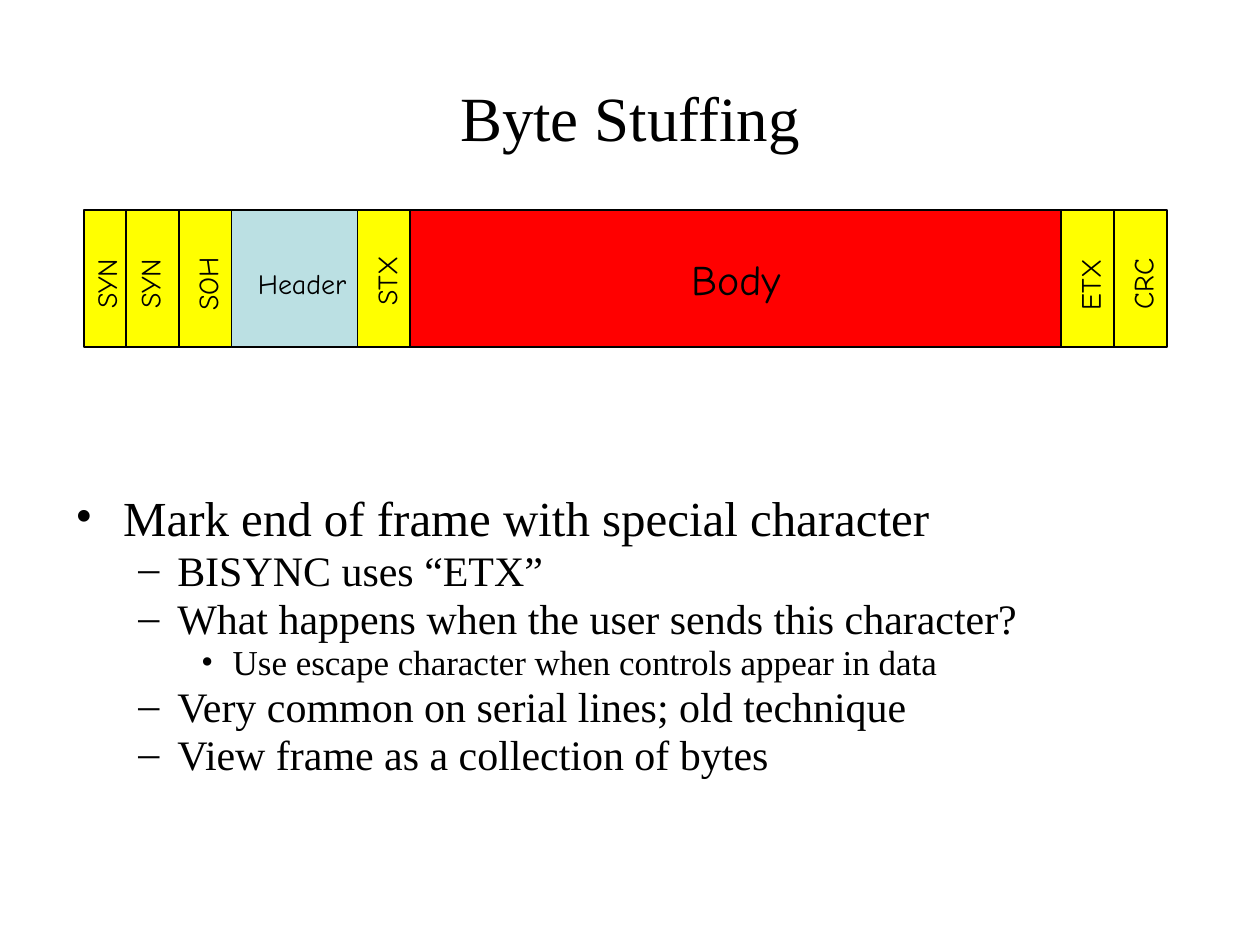
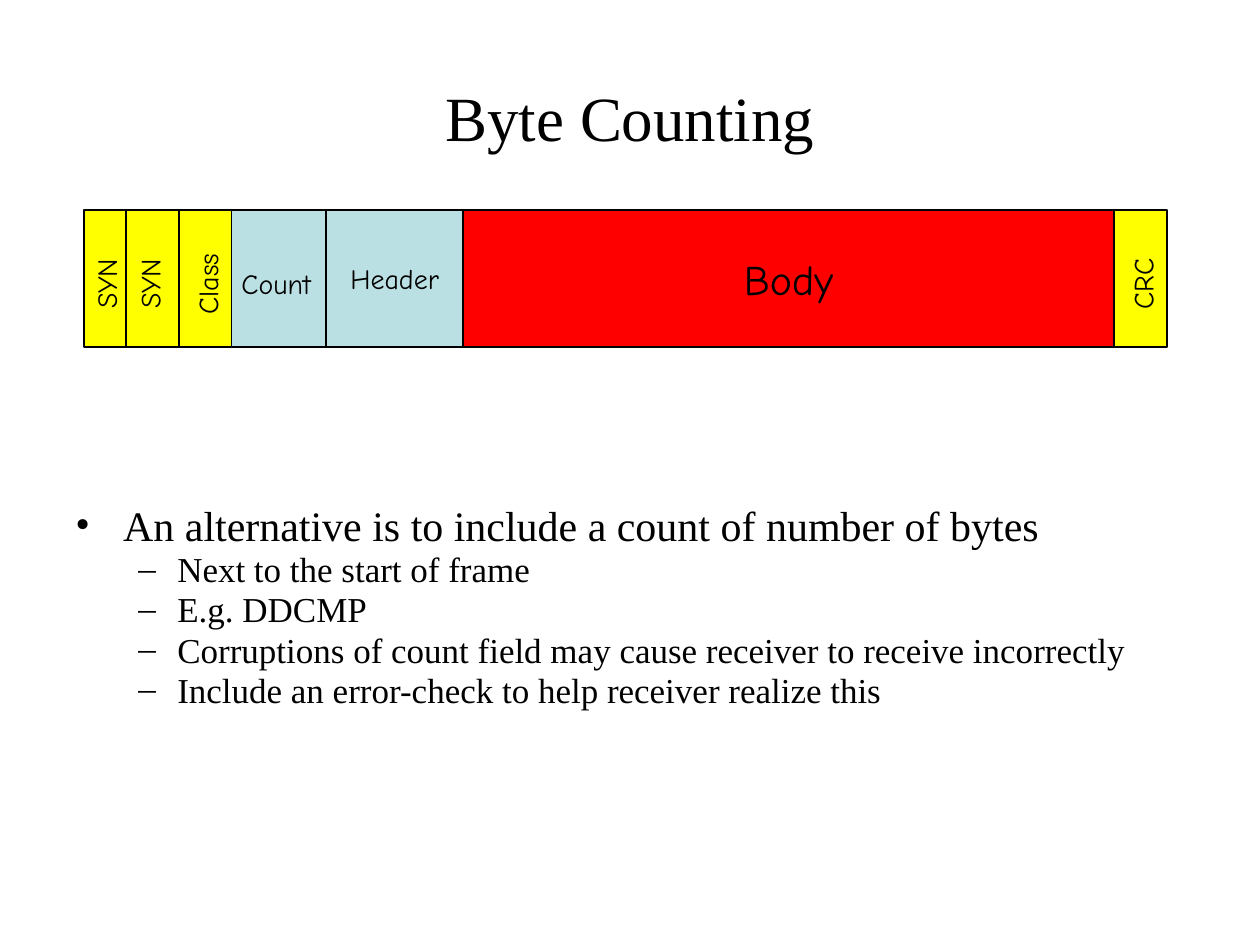
from typing import NamedTuple

from lxml import etree
from pptx import Presentation
from pptx.dml.color import RGBColor
from pptx.enum import shapes, text
from pptx.oxml import ns
from pptx.util import Inches, Pt

COLOURS = {"ink": "000000", "control": "FFFF00", "header": "BBE0E3", "body": "FF0000"}
SERIF = "Times New Roman"
COMIC = "Comic Neue"
FRAME_LEFT, FRAME_TOP, FRAME_HEIGHT = 0.67, 1.67, 1.09
LABEL_WIDTH, LABEL_HEIGHT = 1.1, 0.36
# Bullet, text indent and hanging indent (inches) of each outline level
LEVELS = [("•", 0.38, -0.38), ("–", 0.81, -0.31), ("•", 1.25, -0.25)]


class Field(NamedTuple):
    """A frame field; shift moves its label off the centre, None centres it."""
    label: str
    width: float
    colour: str
    size: int = 16
    shift: tuple = None
    upright: bool = False


def control(label, dx, dy=0.04, width=0.42):
    return Field(label, width, "control", shift=(dx, dy), upright=True)


SYNCS = [control("SYN", 0.01, width=0.33), control("SYN", -0.02)]
BODY = Field("Body", 5.17, "body", 24)
CRC = control("CRC", 0.02)

SLIDES = [
    {
        "title": "Byte Stuffing",
        "fields": SYNCS + [
            control("SOH", 0.02),
            Field("Header", 1.0, "header", shift=(0.06, 0.04)),
            control("STX", 0.02, 0.02),
            BODY,
            control("ETX", 0.02, 0.05),
            CRC,
        ],
        "outline_top": 3.92,
        "sizes": [28, 24, 20],
        "outline": [
            (0, "Mark end of frame with special character"),
            (1, "BISYNC uses “ETX”"),
            (1, "What happens when the user sends this character?"),
            (2, "Use escape character when controls appear in data"),
            (1, "Very common on serial lines; old technique"),
            (1, "View frame as a collection of bytes"),
        ],
    },
    {
        "title": "Byte Counting",
        "fields": SYNCS + [
            control("Class", 0.02),
            Field("Count", 0.75, "header", shift=(-0.02, 0.04)),
            Field("Header", 1.09, "header"),
            BODY,
            CRC,
        ],
        "outline_top": 4.0,
        "sizes": [24, 20],
        "outline": [
            (0, "An alternative is to include a count of number of bytes"),
            (1, "Next to the start of frame"),
            (1, "E.g. DDCMP"),
            (1, "Corruptions of count field may cause receiver to receive incorrectly"),
            (1, "Include an error-check to help receiver realize this"),
        ],
    },
]


def colour(name):
    return RGBColor.from_string(COLOURS[name])


def add_run(paragraph, words, size, font):
    run = paragraph.add_run()
    run.text = words
    run.font.size = Pt(size)
    run.font.name = font
    run.font.color.rgb = colour("ink")


def write_centred(shape, words, size, font, anchor, wrap=False):
    frame = shape.text_frame
    frame.word_wrap = wrap
    frame.vertical_anchor = anchor
    paragraph = frame.paragraphs[0]
    paragraph.alignment = text.PP_ALIGN.CENTER
    add_run(paragraph, words, size, font)


def add_textbox(slide, left, top, width, height):
    return slide.shapes.add_textbox(Inches(left), Inches(top), Inches(width), Inches(height))


def add_title(slide, words):
    box = add_textbox(slide, 0.5, 0.3, 9.01, 1.25)
    write_centred(box, words, 36, SERIF, text.MSO_ANCHOR.MIDDLE, wrap=True)


def add_field(slide, field, left):
    shape = slide.shapes.add_shape(
        shapes.MSO_SHAPE.RECTANGLE,
        Inches(left), Inches(FRAME_TOP), Inches(field.width), Inches(FRAME_HEIGHT))
    shape.shadow.inherit = False
    shape.fill.solid()
    shape.fill.fore_color.rgb = colour(field.colour)
    shape.line.color.rgb = colour("ink")
    shape.line.width = Pt(1)
    if field.shift is None:
        write_centred(shape, field.label, field.size, COMIC, text.MSO_ANCHOR.MIDDLE)


def add_shifted_label(slide, field, left):
    dx, dy = field.shift
    box = add_textbox(
        slide,
        left + (field.width - LABEL_WIDTH) / 2 + dx,
        FRAME_TOP + (FRAME_HEIGHT - LABEL_HEIGHT) / 2 + dy,
        LABEL_WIDTH, LABEL_HEIGHT)
    if field.upright:
        box.rotation = 270
    write_centred(box, field.label, field.size, COMIC, text.MSO_ANCHOR.BOTTOM)


def add_frame(slide, fields):
    """Lay the fields side by side, then put the shifted labels on top."""
    lefts = [FRAME_LEFT + sum(field.width for field in fields[:index])
             for index in range(len(fields))]
    for field, left in zip(fields, lefts):
        add_field(slide, field, left)
    for field, left in zip(fields, lefts):
        if field.shift is not None:
            add_shifted_label(slide, field, left)


def set_bullet(paragraph, level):
    bullet, margin, indent = LEVELS[level]
    paragraph.level = level
    properties = paragraph._p.get_or_add_pPr()
    properties.set("marL", str(Inches(margin)))
    properties.set("indent", str(Inches(indent)))
    etree.SubElement(properties, ns.qn("a:buFont")).set("typeface", SERIF)
    etree.SubElement(properties, ns.qn("a:buChar")).set("char", bullet)


def set_end_size(paragraph, size):
    """Size the paragraph mark, which places the bullet on its line."""
    mark = etree.SubElement(paragraph._p, ns.qn("a:endParaRPr"))
    mark.set("sz", str(size * 100))


def add_outline(slide, top, sizes, items):
    frame = add_textbox(slide, 0.5, top, 8.99, 6.5 - top).text_frame
    frame.word_wrap = True
    for index, (level, words) in enumerate(items):
        paragraph = frame.add_paragraph() if index else frame.paragraphs[0]
        paragraph.line_spacing = 0.79
        paragraph.space_before = Pt(0.2 * sizes[level])
        set_bullet(paragraph, level)
        add_run(paragraph, words, sizes[level], SERIF)
        set_end_size(paragraph, sizes[level])


def main():
    presentation = Presentation()
    presentation.slide_width = Inches(10.01)
    presentation.slide_height = Inches(7.51)
    for content in SLIDES:
        slide = presentation.slides.add_slide(presentation.slide_layouts[6])
        add_title(slide, content["title"])
        add_outline(slide, content["outline_top"], content["sizes"], content["outline"])
        add_frame(slide, content["fields"])
    presentation.save("out.pptx")


if __name__ == "__main__":
    main()
